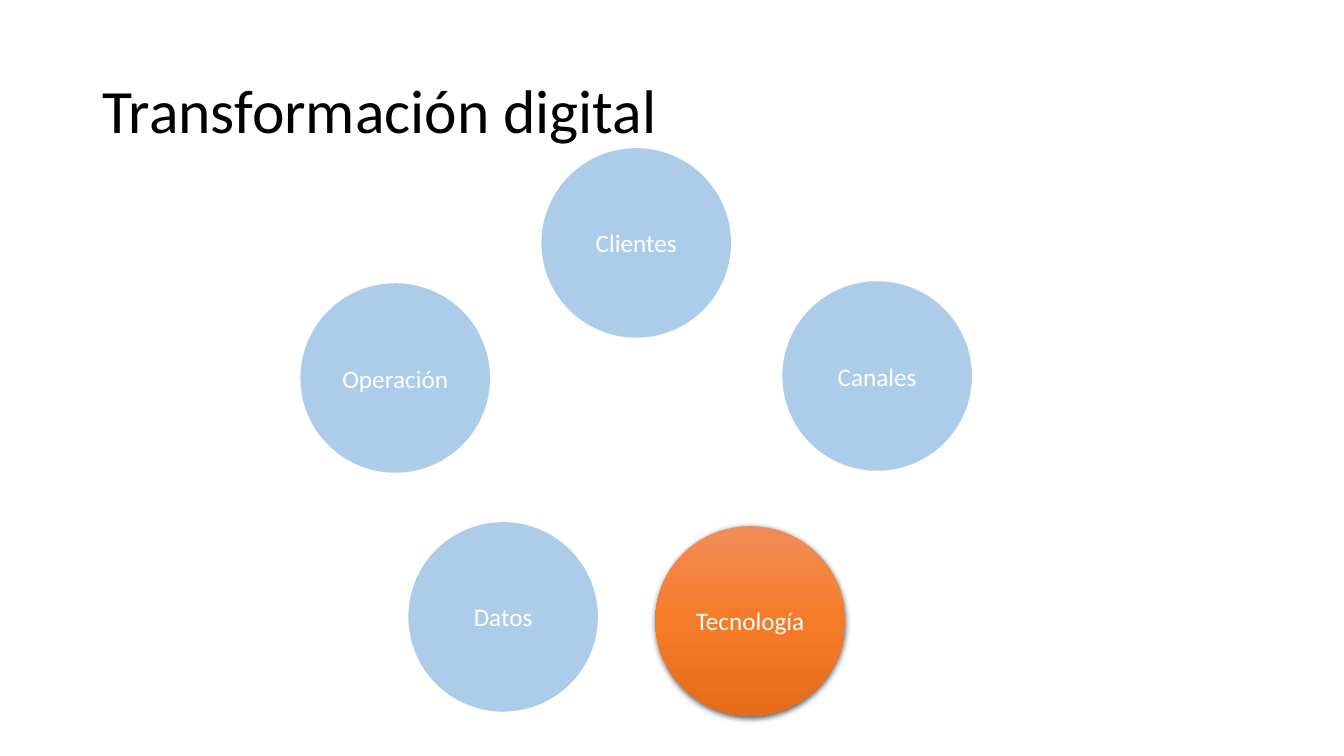
from copy import deepcopy

from pptx import Presentation
from pptx import util as u
from pptx.dml.color import RGBColor
from pptx.enum import shapes, text
from pptx.oxml import parse_xml
from pptx.oxml.ns import nsdecls, qn

SIZE = 1.88
BLUE = "5B9BD5"
WARM = [(0, "F18C57"), (0.5, "F67B28"), (1, "E56C19")]
TOPICS = [
    ("Clientes", 2.39, 0, False),
    ("Canales", 4.78, 1.32, False),
    ("Tecnología", 3.52, 3.75, True),
    ("Datos", 1.07, 3.71, False),
    ("Operación", 0, 1.34, False),
]


def color(code):
    return RGBColor.from_string(code)


def write(shape, words, size=18, tint="FFFFFF", align=text.PP_ALIGN.CENTER, space=1.0):
    frame = shape.text_frame
    frame.word_wrap = True
    frame.vertical_anchor = text.MSO_ANCHOR.MIDDLE
    par = frame.paragraphs[0]
    par.alignment = align
    par.line_spacing = space
    run = par.add_run()
    run.text = words
    run.font.name = "Calibri"
    run.font.size = u.Pt(size)
    run.font.color.rgb = color(tint)


def fade(shape):
    shape.fill.solid()
    shape.fill.fore_color.rgb = color(BLUE)
    tone = shape._element.spPr.find(qn("a:solidFill"))[0]
    tone.append(parse_xml(f'<a:alpha {nsdecls("a")} val="50000"/>'))


def glow(shape):
    fill = shape.fill
    fill.gradient()
    fill.gradient_angle = 270
    stops = shape._element.spPr.find(qn("a:gradFill")).find(qn("a:gsLst"))
    stops.append(deepcopy(stops[0]))
    for stop, (place, code) in zip(fill.gradient_stops, WARM):
        stop.position = place
        stop.color.rgb = color(code)
    shade = parse_xml(
        f'<a:outerShdw {nsdecls("a")} blurRad="{u.Pt(4.5)}" dist="{u.Pt(1.5)}" '
        'dir="5400000" algn="ctr" rotWithShape="0">'
        '<a:srgbClr val="000000"><a:alpha val="63000"/></a:srgbClr></a:outerShdw>'
    )
    shape._element.spPr.find(qn("a:effectLst")).append(shade)


def title(slide, left, top, width, height):
    box = slide.shapes.add_textbox(*map(u.Inches, (left, top, width, height)))
    write(box, "Transformación digital", size=44, tint="000000",
          align=text.PP_ALIGN.LEFT, space=0.9)


def ring(slide, left, top):
    for words, right, down, main in TOPICS:
        spot = map(u.Inches, (left + right, top + down, SIZE, SIZE))
        disc = slide.shapes.add_shape(shapes.MSO_SHAPE.OVAL, *spot)
        disc.shadow.inherit = False
        disc.line.fill.background()
        if main:
            glow(disc)
        else:
            fade(disc)
        write(disc, words)


def main():
    deck = Presentation()
    deck.slide_width = u.Inches(13.33)
    deck.slide_height = u.Inches(7.5)
    slide = deck.slides.add_slide(deck.slide_layouts[6])
    title(slide, 0.92, 0.4, 11.5, 1.45)
    ring(slide, 2.98, 1.47)
    deck.save("out.pptx")


if __name__ == "__main__":
    main()
